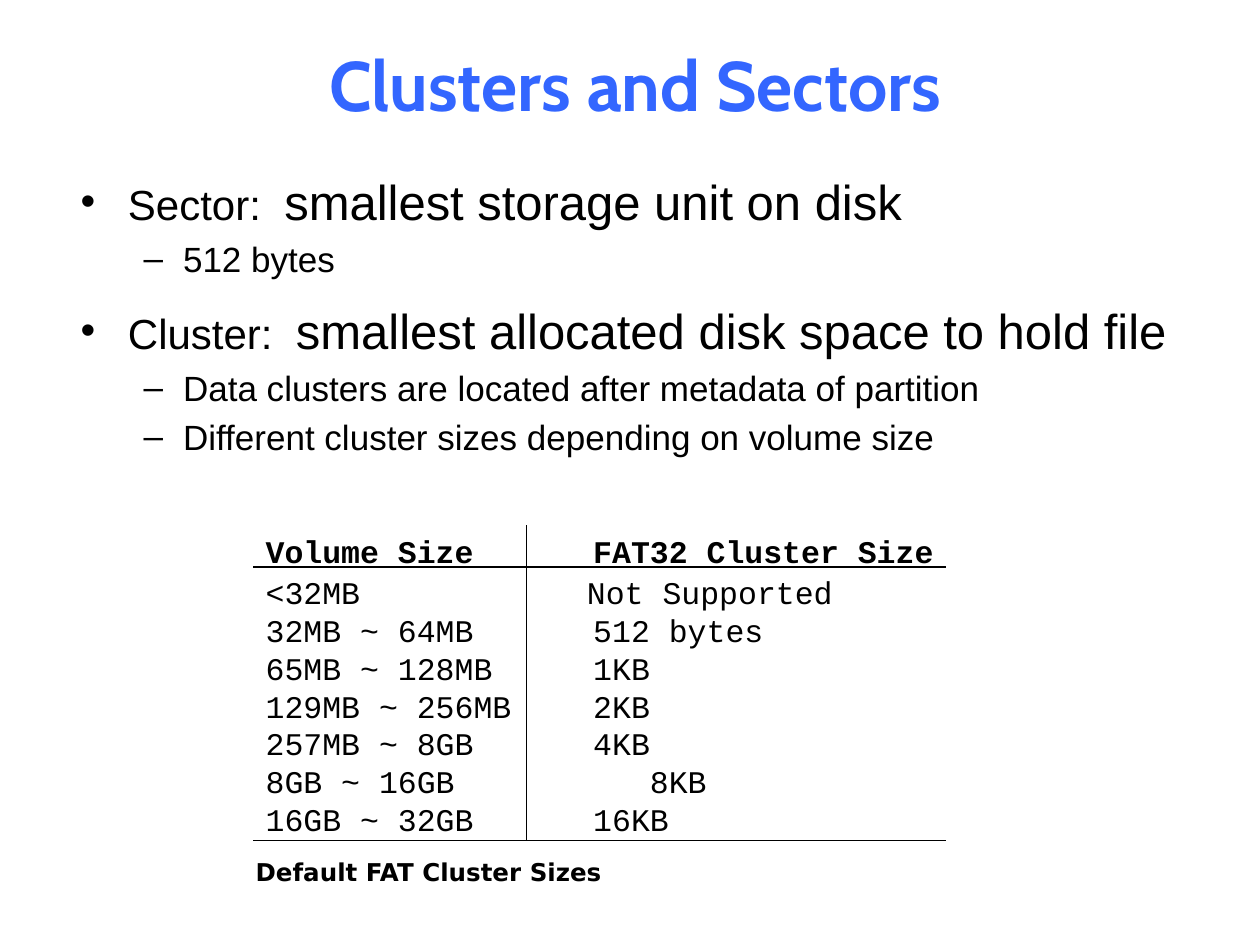
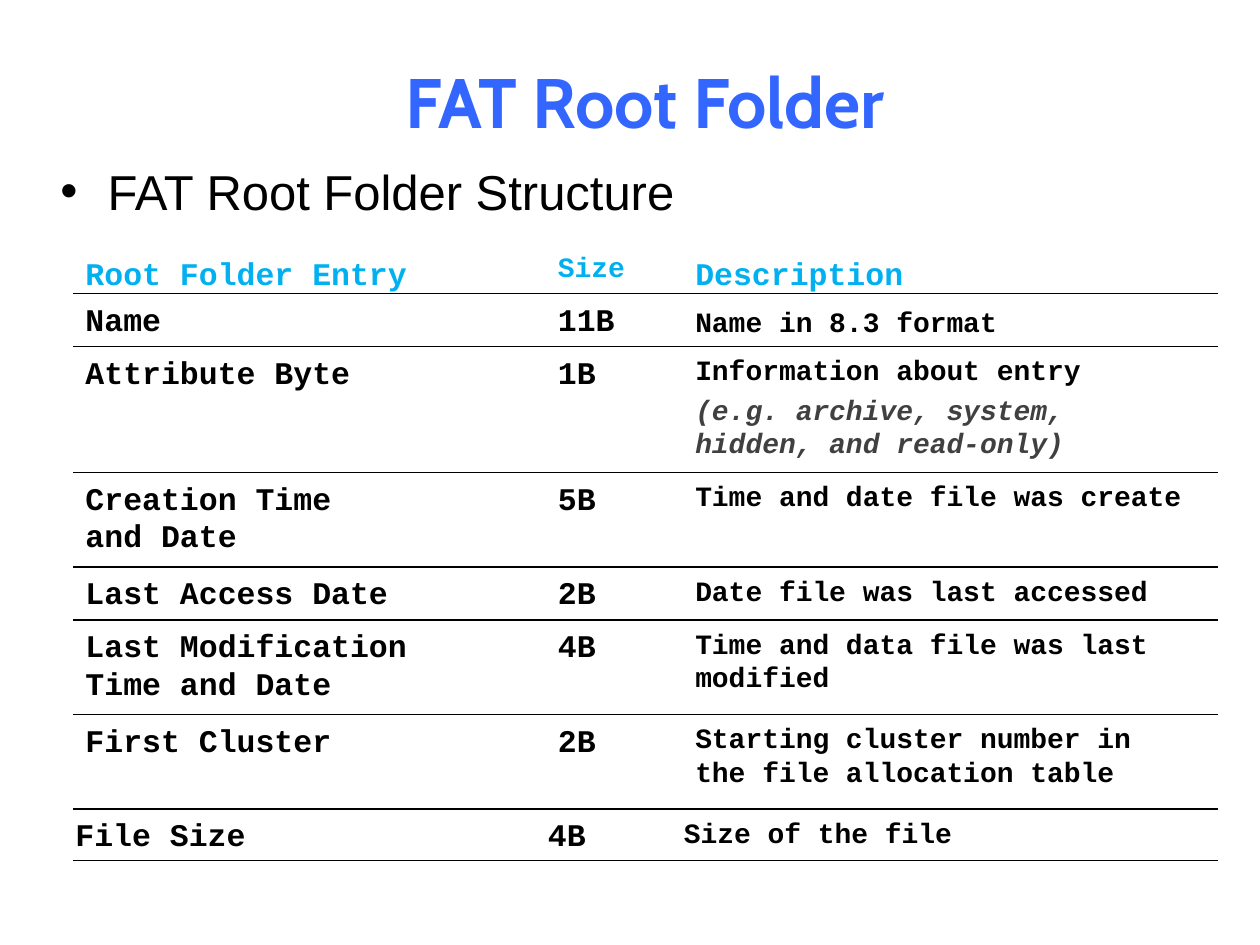
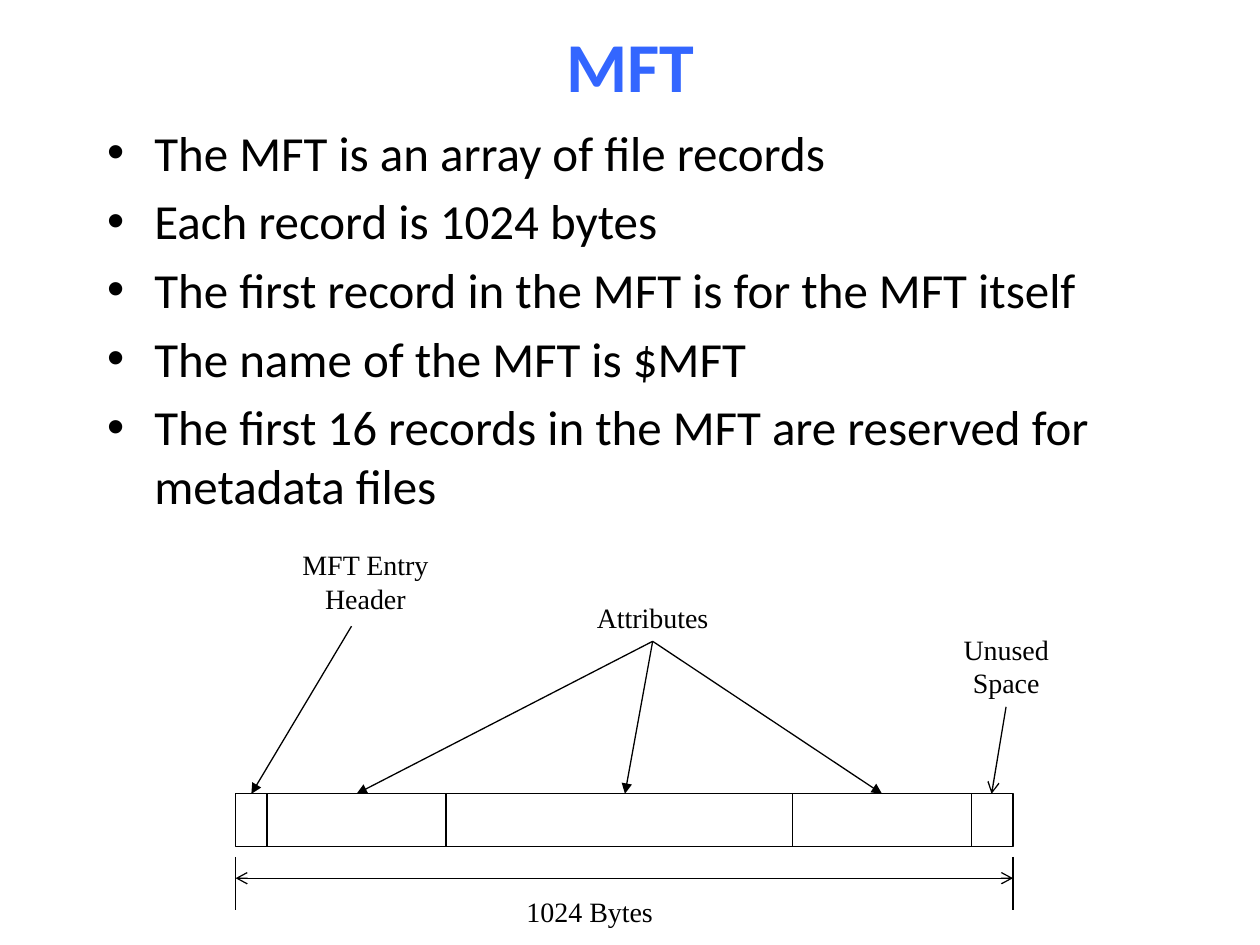
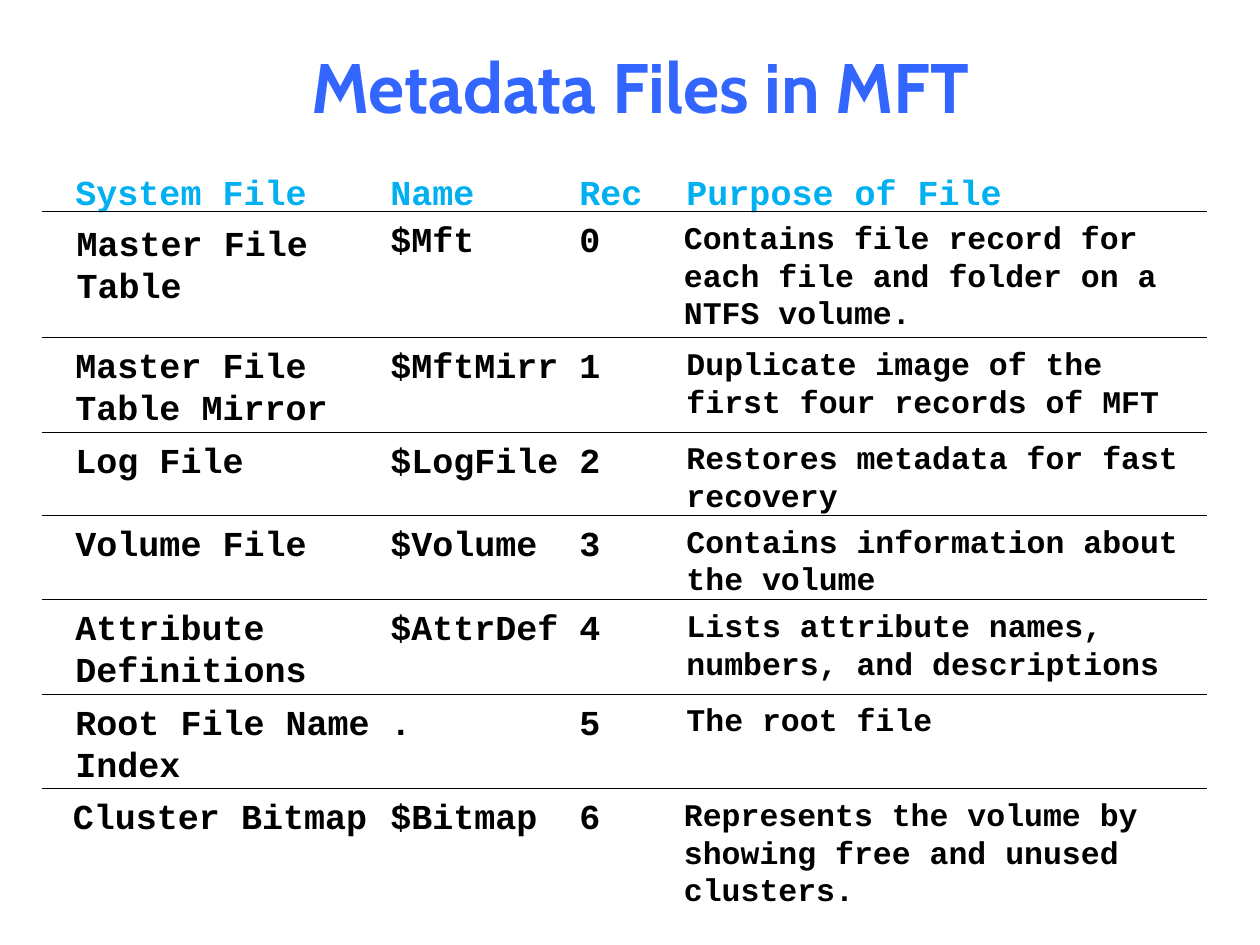
"""Build four slides on FAT clusters, the FAT root folder and the NTFS master file table."""
from dataclasses import dataclass
from typing import Any, Optional

from lxml import etree
from pptx import Presentation
from pptx import util as u
from pptx.dml.color import RGBColor
from pptx.enum import shapes, text
from pptx.oxml import ns

EMU_PER_PX = 9144
BLACK = RGBColor(0x00, 0x00, 0x00)
TITLE_BLUE = RGBColor(0x33, 0x66, 0xFF)
HEADING_CYAN = RGBColor(0x00, 0xB0, 0xF0)
NOTE_GREY = RGBColor(0x40, 0x40, 0x40)
ARIAL, CABIN, CALIBRI = "Arial", "Cabin", "Calibri"
COURIER, DEJAVU, TIMES = "Courier New", "DejaVu Sans", "Times New Roman"
TITLE_AND_BODY, TITLE_ONLY = 1, 5
TOP, BOTTOM = 0, 2


@dataclass(frozen=True)
class Span:
    text: str
    size: int
    font: str = ARIAL
    color: RGBColor = BLACK
    bold: bool = False
    italic: bool = False


@dataclass(frozen=True)
class Para:
    spans: tuple[Span, ...]
    level: int = 0
    before: Optional[float] = None
    spacing: Optional[float] = None
    tab: int = 0
    align: Optional[text.PP_ALIGN] = None


@dataclass(frozen=True)
class Area:
    left: int
    top: int
    width: int
    height: int


@dataclass(frozen=True)
class Column:
    left: int
    width: int
    heading: str
    heading_size: int
    size: int
    heading_spacing: float = 0.9
    tab: int = 0
    height: int = 83


@dataclass(frozen=True)
class Row:
    top: int
    cells: tuple[str, ...]
    shifts: tuple[tuple[int, int], ...] = ((0, 0), (0, 0), (0, 0))
    note: str = ""
    name_width: int = 0


def px(length: int) -> u.Emu:
    """Turn px into EMU."""
    return u.Emu(length * EMU_PER_PX)


def write(frame: Any, paras: list[Para], wrap: bool = True) -> None:
    """Fill a text frame with formatted paragraphs."""
    frame.word_wrap = wrap
    frame.auto_size = text.MSO_AUTO_SIZE.NONE
    for index, item in enumerate(paras):
        para = frame.add_paragraph() if index else frame.paragraphs[0]
        para.level = item.level
        if item.align is not None:
            para.alignment = item.align
        if item.before is not None:
            para.space_before = u.Pt(item.before)
        if item.spacing is not None:
            para.line_spacing = item.spacing
        if item.tab:
            stops = etree.SubElement(para._p.get_or_add_pPr(), ns.qn("a:tabLst"))
            etree.SubElement(stops, ns.qn("a:tab"), pos=str(px(item.tab)), algn="l")
        for part in item.spans:
            span = para.add_run()
            span.text = part.text
            span.font.size = u.Pt(part.size)
            span.font.name = part.font
            span.font.bold = part.bold
            span.font.italic = part.italic
            span.font.color.rgb = part.color


def fill_placeholder(holder: Any, area: Area, paras: list[Para]) -> None:
    """Move a placeholder and write into it."""
    holder.left, holder.top = px(area.left), px(area.top)
    holder.width, holder.height = px(area.width), px(area.height)
    write(holder.text_frame, paras)


def add_page(deck: Any, layout: int, title: str, area: Area, font: str = CABIN) -> Any:
    """Add a slide with the shared title style."""
    page = deck.slides.add_slide(deck.slide_layouts[layout])
    span = Span(title, 40, font, TITLE_BLUE, bold=True)
    fill_placeholder(page.shapes.title, area, [Para((span,), align=text.PP_ALIGN.CENTER)])
    return page


def add_text(page: Any, area: Area, paras: list[Para], wrap: bool = True) -> Any:
    """Add a text box."""
    box = page.shapes.add_textbox(px(area.left), px(area.top), px(area.width), px(area.height))
    write(box.text_frame, paras, wrap)
    return box


def add_line(page: Any, start: tuple[int, int], end: tuple[int, int],
             head: str = "", tail: str = "") -> Any:
    """Add a thin black line with optional arrowheads."""
    line = page.shapes.add_connector(
        shapes.MSO_CONNECTOR.STRAIGHT, px(start[0]), px(start[1]), px(end[0]), px(end[1]))
    line.line.color.rgb = BLACK
    line.line.width = u.Pt(0.75)
    properties = line._element.spPr
    outline = properties.find(ns.qn("a:ln"))
    for tag, kind in (("a:headEnd", head), ("a:tailEnd", tail)):
        if kind:
            etree.SubElement(outline, ns.qn(tag), type=kind)
    etree.SubElement(properties, ns.qn("a:effectLst"))
    return line


def add_grid(page: Any, columns: list[Column], rows: list[Row], heading_top: int,
             rules: list[int], left: int, right: int) -> None:
    """Draw headings, rows of cells and horizontal rules."""
    for column in columns:
        span = Span(column.heading, column.heading_size, COURIER, HEADING_CYAN, bold=True)
        add_text(page, Area(column.left, heading_top, column.width, 42),
                 [Para((span,), before=0.22 * column.heading_size,
                       spacing=column.heading_spacing, tab=column.tab)])
    for row in rows:
        for index, column in enumerate(columns):
            across, down = row.shifts[index]
            width = row.name_width if row.name_width and index == 0 else column.width
            spans = [Span(row.cells[index], column.size, COURIER, bold=True)]
            if row.note and column is columns[-1]:
                spans.append(Span(row.note, column.size, COURIER, NOTE_GREY, True, True))
            add_text(page, Area(column.left + across, row.top + down, width, column.height),
                     [Para((span,), before=0.22 * column.size, tab=column.tab)
                      for span in spans])
    for rule in rules:
        add_line(page, (left, rule), (right, rule))


def build_clusters(deck: Any) -> None:
    """Build the slide on clusters and sectors."""
    page = add_page(deck, TITLE_AND_BODY, "Clusters and Sectors", Area(54, 23, 900, 87))
    fill_placeholder(page.placeholders[1], Area(54, 131, 888, 523), [
        Para((Span("Sector:  ", 24), Span("smallest storage unit on disk", 28))),
        Para((Span("512 bytes", 20),), level=1),
        Para((Span("Cluster:  ", 24), Span("smallest allocated disk space to hold file", 28)),
             before=12),
        Para((Span("Data clusters are located after metadata of partition", 20),), level=1),
        Para((Span("Different cluster sizes depending on volume size", 20),), level=1),
    ])
    add_text(page, Area(193, 675, 508, 34),
             [Para((Span("Default FAT Cluster Sizes", 14, DEJAVU, bold=True),))])
    add_text(page, Area(201, 417, 642, 40),
             [Para((Span("Volume Size\tFAT32 Cluster Size", 18, COURIER, bold=True),), tab=260)])
    sizes = [
        ("<32MB", "Not Supported", 255),
        ("32MB ~ 64MB", "512 bytes", 260),
        ("65MB ~ 128MB", "1KB", 260),
        ("129MB ~ 256MB", "2KB", 260),
        ("257MB ~ 8GB", "4KB", 260),
        ("8GB ~ 16GB", "8KB", 305),
        ("16GB ~ 32GB", "16KB", 260),
    ]
    add_text(page, Area(201, 450, 642, 222),
             [Para((Span(f"{volume}\t{cluster}", 18, COURIER),), tab=tab)
              for volume, cluster, tab in sizes])
    for rule in (450, 667):
        add_line(page, (201, rule), (751, rule))
    add_line(page, (418, 417), (418, 667))


def build_root_folder(deck: Any) -> None:
    """Build the slide on the FAT root folder."""
    page = add_page(deck, TITLE_AND_BODY, "FAT Root Folder", Area(62, 36, 900, 87))
    fill_placeholder(page.placeholders[1], Area(38, 123, 916, 602),
                     [Para((Span("FAT Root Folder Structure", 28),))])
    columns = [
        Column(58, 342, "Root Folder Entry", 18, 18),
        Column(433, 83, "Size", 16, 18, heading_spacing=0.7),
        Column(542, 417, "Description", 18, 16),
    ]
    rows = [
        Row(233, ("Name", "11B", "Name in 8.3 format"), ((0, 0), (0, 0), (0, 4))),
        Row(275, ("Attribute Byte", "1B", "Information about entry"),
            note="(e.g. archive, system, hidden, and read-only)"),
        Row(375, ("Creation Time and Date", "5B", "Time and date file was create"),
            name_width=242),
        Row(450, ("Last Access Date", "2B", "Date file was last accessed")),
        Row(492, ("Last Modification Time and Date", "4B",
                  "Time and data file was last modified")),
        Row(567, ("First Cluster", "2B",
                  "Starting cluster number in the file allocation table")),
        Row(642, ("File Size", "4B", "Size of the file"), ((-8, 0), (-8, 0), (-9, 0))),
    ]
    add_grid(page, columns, rows, 200, [row.top for row in rows] + [683], 58, 967)


def build_mft(deck: Any) -> None:
    """Build the slide on the master file table and its record layout."""
    page = add_page(deck, TITLE_AND_BODY, "MFT", Area(75, 13, 850, 179), CALIBRI)
    page.shapes.title.text_frame.vertical_anchor = text.MSO_ANCHOR.TOP
    facts = [
        "The MFT is an array of file records",
        "Each record is 1024 bytes",
        "The first record in the MFT is for the MFT itself",
        "The name of the MFT is $MFT",
        "The first 16 records in the MFT are reserved for metadata files",
    ]
    fill_placeholder(page.placeholders[1], Area(75, 92, 850, 575),
                     [Para((Span(fact, 28, CALIBRI),)) for fact in facts])

    fields = []
    for left, width in ((187, 25), (212, 142), (354, 450), (629, 142)):
        field = page.shapes.add_shape(
            shapes.MSO_SHAPE.RECTANGLE, px(left), px(630), px(width), px(42))
        field.shadow.inherit = False
        field.fill.background()
        field.line.color.rgb = BLACK
        field.line.width = u.Pt(0.75)
        fields.append(field)
    header, first_attribute, _, last_attribute = fields

    def add_label(area: Area, *lines: str) -> Any:
        """Add a centred diagram label."""
        return add_text(page, area, [Para((Span(line, 16, TIMES),), align=text.PP_ALIGN.CENTER)
                                     for line in lines], wrap=False)

    add_label(Area(229, 430, 122, 64), "MFT Entry", "Header")
    attributes = add_label(Area(463, 472, 110, 37), "Attributes")
    unused = add_label(Area(754, 497, 89, 64), "Unused", "Space")
    add_label(Area(407, 705, 122, 37), "1024 Bytes")

    add_line(page, (200, 630), (279, 497), head="triangle").begin_connect(header, TOP)
    for x, field in ((283, first_attribute), (496, None), (700, last_attribute)):
        arrow = add_line(page, (x, 630), (518, 509), head="triangle")
        arrow.end_connect(attributes, BOTTOM)
        if field is not None:
            arrow.begin_connect(field, TOP)
    add_line(page, (798, 561), (787, 630), tail="arrow").begin_connect(unused, BOTTOM)
    for x in (187, 804):
        add_line(page, (x, 680), (x, 722))
    add_line(page, (187, 697), (804, 697), head="arrow", tail="arrow")


def build_metadata_files(deck: Any) -> None:
    """Build the slide on the metadata files."""
    page = add_page(deck, TITLE_ONLY, "Metadata Files in MFT", Area(58, 24, 900, 87))
    columns = [
        Column(50, 258, "System File", 20, 20),
        Column(300, 250, "Name\tRec", 20, 20, tab=150),
        Column(535, 417, "Purpose of File", 20, 18, height=100),
    ]
    rows = [
        Row(168, ("Master File Table", "$Mft\t0",
                  "Contains file record for each file and folder on a NTFS volume."),
            ((1, 3), (0, 0), (-2, 0))),
        Row(268, ("Master File Table Mirror", "$MftMirr\t1",
                  "Duplicate image of the first four records of MFT")),
        Row(343, ("Log File", "$LogFile\t2", "Restores metadata for fast recovery")),
        Row(409, ("Volume File", "$Volume\t3", "Contains information about the volume")),
        Row(476, ("Attribute Definitions", "$AttrDef\t4",
                  "Lists attribute names, numbers, and descriptions")),
        Row(551, ("Root File Name Index", ".\t5", "The root file")),
        Row(626, ("Cluster Bitmap", "$Bitmap\t6",
                  "Represents the volume by showing free and unused clusters."),
            ((-2, 0), (0, 0), (-2, 0))),
    ]
    add_grid(page, columns, rows, 134, [row.top for row in rows], 33, 958)


def main() -> None:
    """Build and save the deck."""
    deck = Presentation()
    deck.slide_width, deck.slide_height = px(1000), px(750)
    for build in (build_clusters, build_root_folder, build_mft, build_metadata_files):
        build(deck)
    deck.save("out.pptx")


if __name__ == "__main__":
    main()
